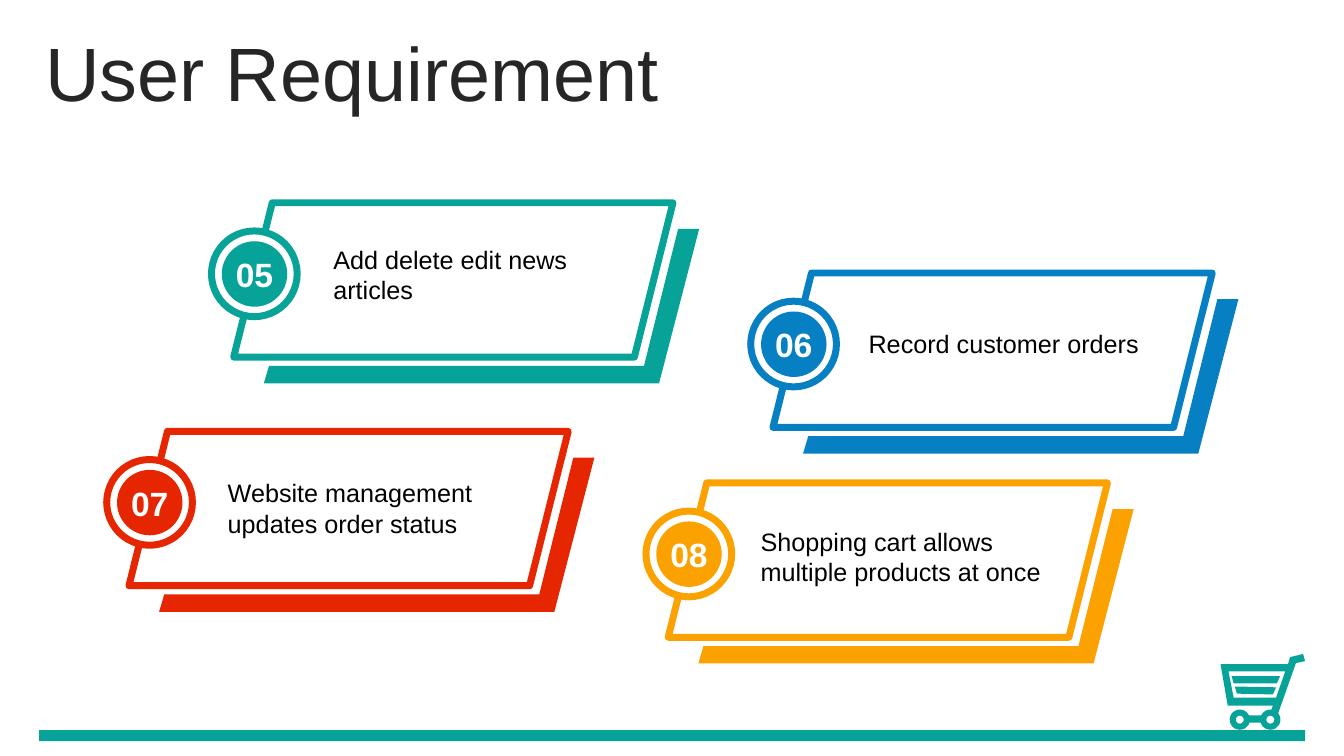
from pptx import Presentation
from pptx.dml.color import RGBColor
from pptx.enum.shapes import MSO_SHAPE
from pptx.enum.text import MSO_ANCHOR, MSO_AUTO_SIZE, PP_ALIGN
from pptx.util import Cm, Pt

RECT = MSO_SHAPE.RECTANGLE
OVAL = MSO_SHAPE.OVAL
RING = MSO_SHAPE.DONUT
SLANT = MSO_SHAPE.PARALLELOGRAM
MIDDLE = MSO_ANCHOR.MIDDLE
FIXED = MSO_AUTO_SIZE.NONE
LEFT, CENTER = PP_ALIGN.LEFT, PP_ALIGN.CENTER
TEAL, WHITE = "07A398", "FFFFFF"

prs = Presentation()
prs.slide_width, prs.slide_height = Cm(33.87), Cm(19.05)
slide = prs.slides.add_slide(prs.slide_layouts[5])
shapes = slide.shapes


def paint(shape, fill, line=None):
    shape.shadow.inherit = False
    shape.fill.solid()
    shape.fill.fore_color.rgb = RGBColor.from_string(fill)
    if line:
        shape.line.color.rgb = RGBColor.from_string(line)
        shape.line.width = Pt(5)
    else:
        shape.line.fill.background()
    return shape


def outline(loops, fill):
    """Draw closed loops of points in cm as one shape; inner loops cut holes."""
    loops = [[(Cm(x), Cm(y)) for x, y in loop] for loop in loops]
    pen = shapes.build_freeform(*loops[0][0], scale=1.0)
    pen.add_line_segments(loops[0][1:], close=True)
    for loop in loops[1:]:
        pen.move_to(*loop[0])
        pen.add_line_segments(loop[1:], close=True)
    paint(pen.convert_to_shape(), fill)


# Title
title = shapes.title
title.left, title.top, title.width, title.height = Cm(0.89), Cm(0.94), Cm(32.16), Cm(2)
frame = title.text_frame
frame.auto_size = FIXED
frame.vertical_anchor = MIDDLE
frame.text = "User Requirement"
para = frame.paragraphs[0]
para.alignment = LEFT
para.line_spacing = 0.9
para.font.name, para.font.size = "Arial", Pt(54)
para.font.color.rgb = RGBColor.from_string("262626")

# Footer bar and shopping cart
paint(shapes.add_shape(RECT, Cm(0.99), Cm(18.4), Cm(31.9), Cm(0.28)), TEAL)
frame_edge = [(32.84, 16.48), (32.51, 16.56), (32.46, 16.74), (30.76, 16.74), (30.94, 17.78),
              (32.08, 17.78), (32.03, 17.91), (32.21, 17.98), (32.66, 16.71), (32.89, 16.66)]
basket = [(32.39, 16.92), (32.16, 17.58), (31.09, 17.58), (30.96, 16.92)]
slats = [[(31.04, 17.04), (31.09, 17.22), (32.18, 17.22), (32.26, 17.04)],
         [(31.12, 17.3), (31.17, 17.48), (32.08, 17.5), (32.16, 17.32)]]
axle = [(31.45, 18.03), (31.82, 18.03), (31.82, 18.21), (31.45, 18.21)]
outline([frame_edge, basket, *slats, axle], TEAL)
for x in (30.99, 31.76):
    wheel = paint(shapes.add_shape(RING, Cm(x), Cm(17.88), Cm(0.51), Cm(0.51)), TEAL)
    wheel.adjustments[0] = 0.3

# Cards: number, colour, card corner, text corner, text height, wording
cards = [
    ("05", TEAL, 5.89, 5.11, 8.15, 6.02, 1.8, "Add delete edit news articles"),
    ("07", "E62601", 3.25, 10.87, 5.49, 11.91, 1.8, "Website management updates order status"),
    ("06", "0680C3", 19.48, 6.88, 21.64, 8.15, 1.02, "Record customer orders"),
    ("08", "FBA200", 16.84, 12.17, 18.92, 13.13, 1.8, "Shopping cart allows multiple products at once"),
]
shade = [(11.2, 0.66), (11.73, 0.66), (10.72, 4.55), (0.76, 4.55), (0.89, 4.11), (10.34, 4.11)]

for number, color, x, y, left, top, high, words in cards:
    paint(shapes.add_shape(SLANT, Cm(x), Cm(y), Cm(11.07), Cm(3.89)), WHITE, color)
    outline([[(x + dx, y + dy) for dx, dy in shade]], color)

    label = shapes.add_textbox(Cm(left), Cm(top), Cm(7.82), Cm(high)).text_frame
    label.word_wrap = True
    label.text = words
    font = label.paragraphs[0].font
    font.name, font.size = "Arial", Pt(18)
    font.color.rgb = RGBColor.from_string("000000")

    paint(shapes.add_shape(OVAL, Cm(x - 0.56), Cm(y + 0.71), Cm(2.16), Cm(2.16)), WHITE, color)
    disc = paint(shapes.add_shape(OVAL, Cm(x - 0.3), Cm(y + 0.97), Cm(1.65), Cm(1.65)), color)
    badge = disc.text_frame
    badge.margin_left = badge.margin_right = badge.margin_top = badge.margin_bottom = 0
    badge.word_wrap = False
    badge.vertical_anchor = MIDDLE
    badge.text = number
    para = badge.paragraphs[0]
    para.alignment = CENTER
    para.font.name, para.font.size, para.font.bold = "Arial", Pt(24), True
    para.font.color.rgb = RGBColor.from_string(WHITE)

prs.save("out.pptx")
